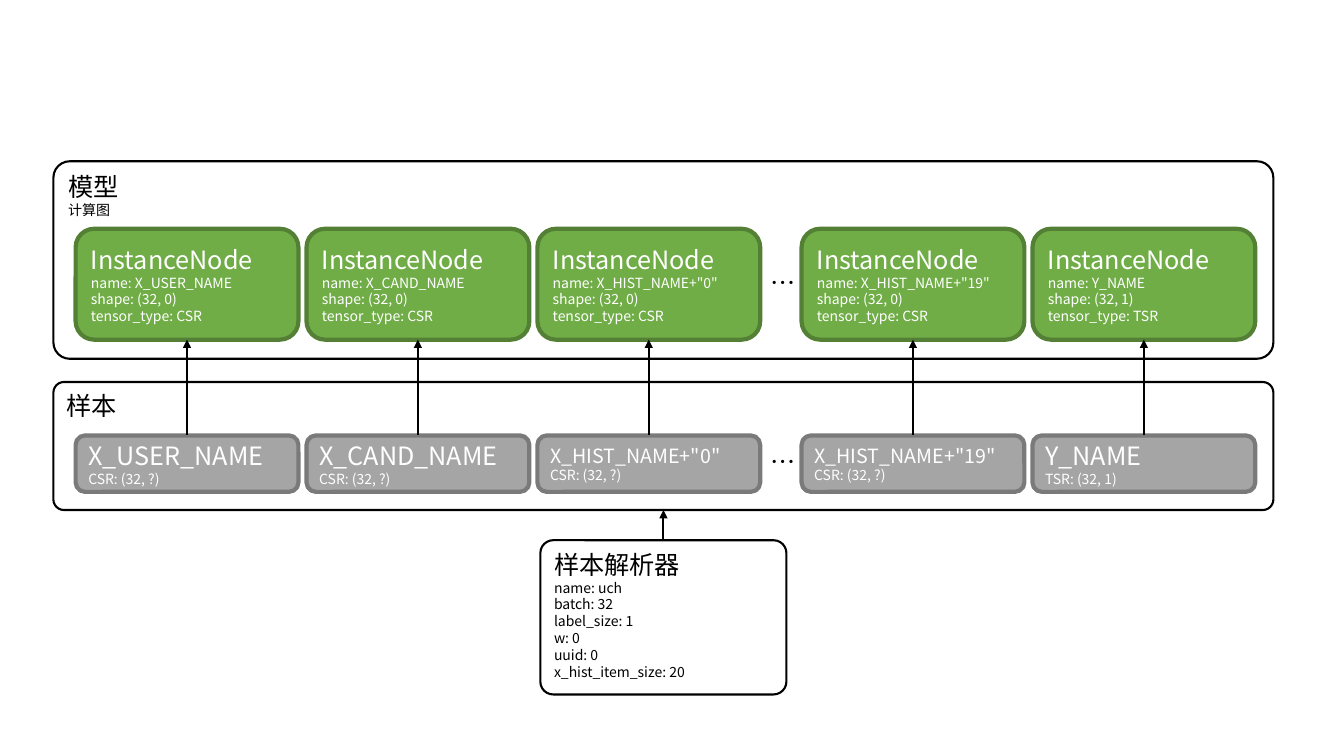
from dataclasses import dataclass

from lxml import etree
from pptx import Presentation
from pptx.dml.color import RGBColor
from pptx.enum.shapes import MSO_CONNECTOR, MSO_SHAPE
from pptx.enum.text import MSO_ANCHOR, MSO_AUTO_SIZE, PP_ALIGN
from pptx.oxml.ns import qn
from pptx.util import Inches, Pt

ROUNDED = MSO_SHAPE.ROUNDED_RECTANGLE
STRAIGHT = MSO_CONNECTOR.STRAIGHT
TOP, MIDDLE = MSO_ANCHOR.TOP, MSO_ANCHOR.MIDDLE
LEFT = PP_ALIGN.LEFT
GROW = MSO_AUTO_SIZE.SHAPE_TO_FIT_TEXT


@dataclass(frozen=True)
class Theme:
    font: str = "Noto Sans CJK SC"
    ink: str = "000000"
    light: str = "FFFFFF"
    node_fill: str = "70AD47"
    node_line: str = "538035"
    sample_fill: str = "A5A5A5"
    sample_line: str = "7A7A7A"
    heading: int = 18
    long_heading: int = 14
    detail: int = 10
    thin: float = 1.5
    thick: float = 3


THEME = Theme()

# Name, heading size of the sample, second dimension, tensor type
FIELDS = [
    ("X_USER_NAME", THEME.heading, "0", "CSR"),
    ("X_CAND_NAME", THEME.heading, "0", "CSR"),
    ('X_HIST_NAME+"0"', THEME.long_heading, "0", "CSR"),
    ('X_HIST_NAME+"19"', THEME.long_heading, "0", "CSR"),
    ("Y_NAME", THEME.heading, "1", "TSR"),
]
PARSER_SETTINGS = ["name: uch", "batch: 32", "label_size: 1", "w: 0",
                   "uuid: 0", "x_hist_item_size: 20"]

MODEL_BOX = (0.53, 1.6, 12.1, 1.96)
SAMPLE_BOX = (0.53, 3.79, 12.1, 1.27)
PARSER_BOX = (5.36, 5.36, 2.44, 1.53)
CARD_WIDTH, CARD_PITCH = 2.21, 2.29
CARD_INDENT = 0.22
ELLIPSIS_AFTER = 3
ELLIPSIS_GAP = 0.33
NODE_OFFSET, NODE_HEIGHT = 0.67, 1.1
SAMPLE_OFFSET, SAMPLE_HEIGHT = 0.53, 0.56


def write_lines(frame, heading, details, color, heading_size=THEME.heading):
    for index, text in enumerate([heading, *details]):
        para = frame.paragraphs[0] if index == 0 else frame.add_paragraph()
        para.alignment = LEFT
        span = para.add_run()
        span.text = text
        span.font.size = Pt(THEME.detail if index else heading_size)
        span.font.color.rgb = RGBColor.from_string(color)
        span.font.name = THEME.font
        east_asian = etree.SubElement(span.font._element, qn("a:ea"))
        east_asian.set("typeface", THEME.font)


def add_rounded(page, box, line, width, anchor, fill=None):
    shape = page.shapes.add_shape(ROUNDED, *map(Inches, box))
    shape.shadow.inherit = False
    if fill:
        shape.fill.solid()
        shape.fill.fore_color.rgb = RGBColor.from_string(fill)
    else:
        shape.fill.background()
    shape.line.color.rgb = RGBColor.from_string(line)
    shape.line.width = Pt(width)
    shape.text_frame.word_wrap = True
    shape.text_frame.vertical_anchor = anchor
    return shape


def add_panel(page, box, heading, details=()):
    panel = add_rounded(page, box, THEME.ink, THEME.thin, TOP)
    panel.adjustments[0] = 0.083
    write_lines(panel.text_frame, heading, details, THEME.ink)


def add_up_arrow(page, center, tip, base):
    arrow = page.shapes.add_connector(
        STRAIGHT, Inches(center), Inches(tip), Inches(center), Inches(base))
    arrow.line.color.rgb = RGBColor.from_string(THEME.ink)
    arrow.line.width = Pt(THEME.thin)
    head = etree.SubElement(arrow.line._get_or_add_ln(), qn("a:headEnd"))
    head.set("type", "triangle")
    etree.SubElement(arrow._element.spPr, qn("a:effectLst"))


def add_ellipsis(page, left, top):
    label = page.shapes.add_textbox(
        Inches(left), Inches(top), Inches(0.41), Inches(0.4))
    label.text_frame.word_wrap = False
    label.text_frame.auto_size = GROW
    write_lines(label.text_frame, "…", [], THEME.ink)


def card_left(panel_left, index):
    extra = ELLIPSIS_GAP if index >= ELLIPSIS_AFTER else 0
    return panel_left + CARD_INDENT + index * CARD_PITCH + extra


def ellipsis_left(panel_left):
    return card_left(panel_left, ELLIPSIS_AFTER - 1) + CARD_WIDTH


def add_model(page, box):
    left, top = box[:2]
    add_panel(page, box, "模型", ["计算图"])
    for index, (name, _, size, kind) in enumerate(FIELDS):
        card = (card_left(left, index), top + NODE_OFFSET,
                CARD_WIDTH, NODE_HEIGHT)
        node = add_rounded(page, card, THEME.node_line, THEME.thick, MIDDLE,
                           THEME.node_fill)
        details = [f"name: {name}", f"shape: (32, {size})",
                   f"tensor_type: {kind}"]
        write_lines(node.text_frame, "InstanceNode", details, THEME.light)
    add_ellipsis(page, ellipsis_left(left), top + 1)


def add_samples(page, box):
    left, top = box[:2]
    add_panel(page, box, "样本")
    for index, (name, heading_size, size, kind) in enumerate(FIELDS):
        card = (card_left(left, index), top + SAMPLE_OFFSET,
                CARD_WIDTH, SAMPLE_HEIGHT)
        sample = add_rounded(page, card, THEME.sample_line, THEME.thick,
                             MIDDLE, THEME.sample_fill)
        shown_size = "?" if kind == "CSR" else size
        write_lines(sample.text_frame, name, [f"{kind}: (32, {shown_size})"],
                    THEME.light, heading_size)
    add_ellipsis(page, ellipsis_left(left), top + 0.59)


def add_flow(page, model_box, sample_box, parser_box):
    """Link samples to their nodes, and the parser to the sample panel."""
    tip = model_box[1] + NODE_OFFSET + NODE_HEIGHT
    base = sample_box[1] + SAMPLE_OFFSET
    for index in range(len(FIELDS)):
        center = card_left(model_box[0], index) + CARD_WIDTH / 2
        add_up_arrow(page, center, tip, base)
    add_up_arrow(page, parser_box[0] + parser_box[2] / 2,
                 sample_box[1] + sample_box[3], parser_box[1])


def main():
    deck = Presentation()
    deck.slide_width, deck.slide_height = Inches(13.33), Inches(7.5)
    page = deck.slides.add_slide(deck.slide_layouts[6])
    add_samples(page, SAMPLE_BOX)
    add_panel(page, PARSER_BOX, "样本解析器", PARSER_SETTINGS)
    add_model(page, MODEL_BOX)
    add_flow(page, MODEL_BOX, SAMPLE_BOX, PARSER_BOX)
    deck.save("out.pptx")


if __name__ == "__main__":
    main()
